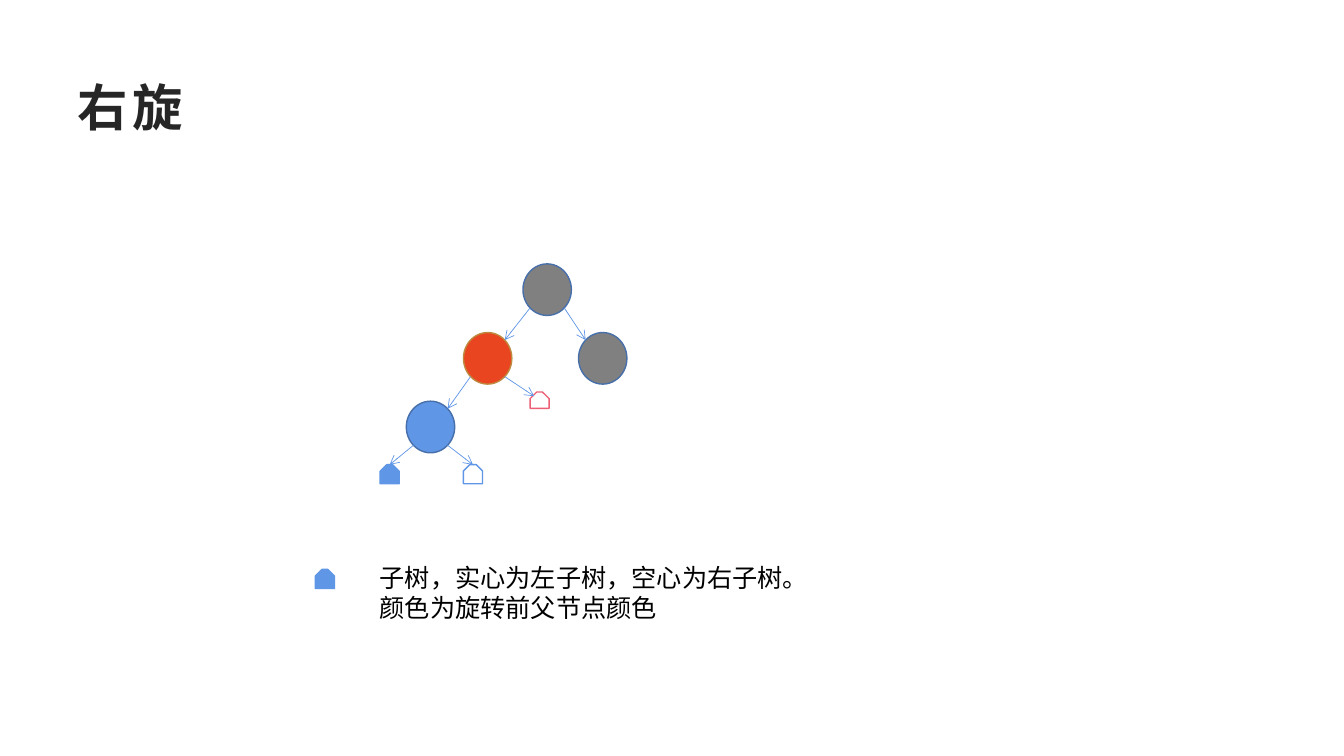
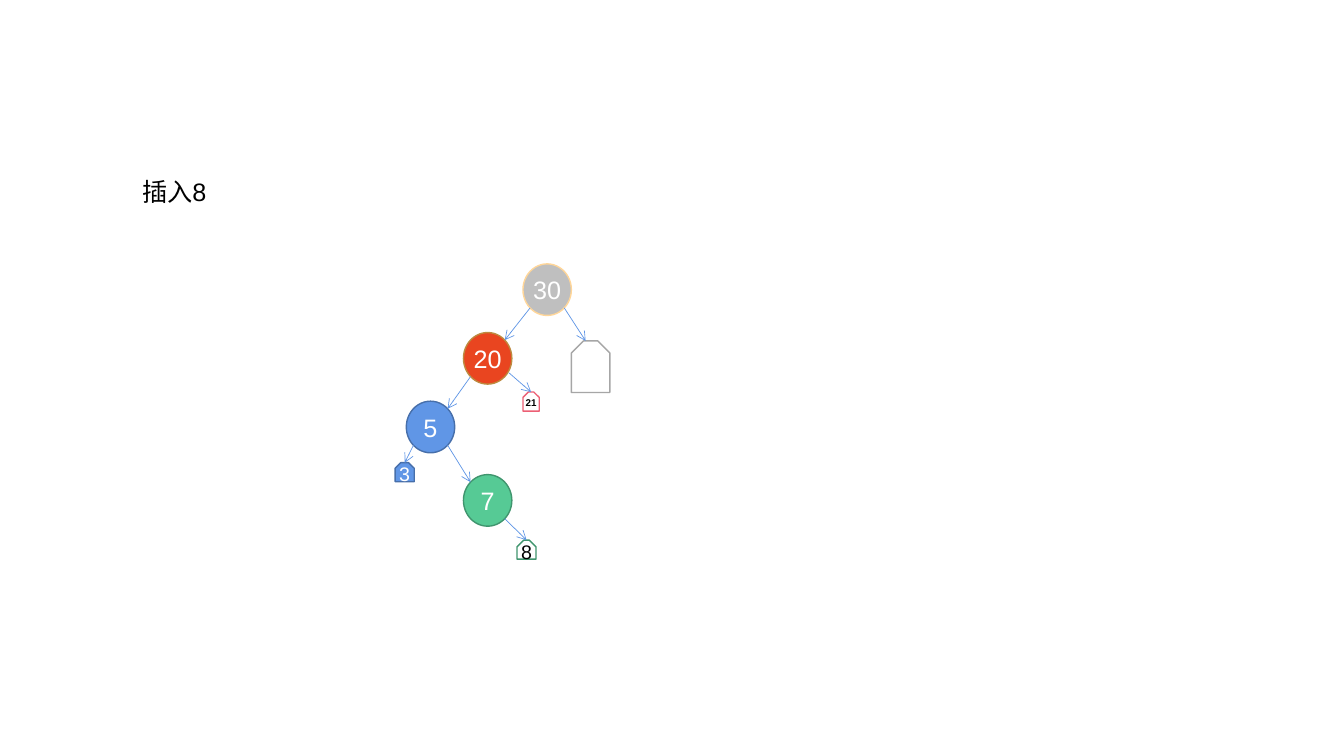
from lxml import etree
from pptx import Presentation
from pptx import util as u
from pptx.dml.color import RGBColor
from pptx.enum import shapes, text
from pptx.oxml.ns import qn

BLUE, NAVY, WHITE, BLACK = "6096E6", "476FAA", "FFFFFF", "000000"
RED, GOLD, PINK = "E94520", "BD8A3F", "EC5F74"
GREY, SILVER, SAND, ASH = "808080", "BFBFBF", "FFD699", "A6A6A6"
GREEN, PINE = "56CA95", "40956E"
FONT = "Arial"
NODE, LEAF = (1.22, 1.3), (0.48, 0.48)
ROOT, MID, LOW = (3.6, 0), (2.1, 1.73), (0.66, 3.46)
NEAR, FAR = 0.146, 0.854
TREE = (9.58, 6.65)


def color(code):
    """Turn a hex string into a colour."""
    return RGBColor.from_string(code)


def style(item, vals):
    """Set each named value on an item."""
    for name, val in vals.items():
        setattr(item, name, val)


def write(shape, words, size, ink, frame, align, bold=False):
    """Put one formatted line of text into a shape."""
    style(shape.text_frame, dict(frame, word_wrap=True))
    par = shape.text_frame.paragraphs[0]
    par.alignment = align
    run = par.add_run()
    run.text = words
    style(run.font, {"name": FONT, "size": u.Pt(size), "bold": bold})
    run.font.color.rgb = color(ink)
    return run


def head(slide, words, box):
    """Place the slide title in its box."""
    title = slide.shapes.title
    style(title, dict(zip(("left", "top", "width", "height"), map(u.Cm, box))))
    frame = {"vertical_anchor": text.MSO_ANCHOR.MIDDLE}
    run = write(title, words, 36, "262626", frame, text.PP_ALIGN.LEFT, True)
    run.font._element.set("spc", "300")


def note(slide, words, box):
    """Place a plain text block in its box."""
    area = slide.shapes.add_textbox(*map(u.Cm, box))
    frame = {"auto_size": text.MSO_AUTO_SIZE.SHAPE_TO_FIT_TEXT}
    write(area, words, 18, BLACK, frame, text.PP_ALIGN.LEFT)


def mark(slide, box, fill, edge, snip=None, label="", size=18, ink=WHITE, bold=False):
    """Draw a round node, or a subtree tag when a snip is given."""
    kinds = shapes.MSO_SHAPE
    kind = kinds.SNIP_2_SAME_RECTANGLE if snip else kinds.OVAL
    shape = slide.shapes.add_shape(kind, *map(u.Cm, box))
    if snip:
        shape.adjustments[0] = snip
        shape.adjustments[1] = 0
    shape.shadow.inherit = False
    shape.fill.solid()
    shape.fill.fore_color.rgb = color(fill)
    shape.line.color.rgb = color(edge)
    shape.line.width = u.Pt(1)
    if label:
        frame = {"margin_" + side: 0 for side in ("left", "top", "right", "bottom")}
        frame["vertical_anchor"] = text.MSO_ANCHOR.MIDDLE
        write(shape, label, size, ink, frame, text.PP_ALIGN.CENTER, bold)


def spot(box, part):
    """Find the point at a fraction of a box."""
    return [box[i] + box[i + 2] * part[i] for i in (0, 1)]


def link(slide, top, low, round_end, start=None, end=None):
    """Draw an arrow from a parent box to a child box."""
    left = low[0] < top[0]
    start = start or (NEAR if left else FAR, FAR)
    end = end or ((FAR if left else NEAR, NEAR) if round_end else (0.5, 0))
    ends = map(u.Cm, spot(top, start) + spot(low, end))
    line = slide.shapes.add_connector(shapes.MSO_CONNECTOR.STRAIGHT, *ends)
    line.line.color.rgb = color(BLUE)
    line.line.width = u.Pt(0.5)
    etree.SubElement(line.line._get_or_add_ln(), qn("a:tailEnd"), type="arrow")
    etree.SubElement(line._element.spPr, qn("a:effectLst"))


def tree(slide, at, nodes, links):
    """Draw nodes and their arrows relative to a corner."""
    boxes = {}
    for name, (pos, size, look) in nodes.items():
        boxes[name] = (at[0] + pos[0], at[1] + pos[1], *size)
        mark(slide, boxes[name], **look)
    for top, low, ends in links:
        link(slide, boxes[top], boxes[low], "snip" not in nodes[low][2], **ends)


def turn(deck):
    """Build the rotation slide."""
    slide = deck.slides.add_slide(deck.slide_layouts[5])
    head(slide, "右旋", (1.7, 1.7, 30.48, 1.96))
    full = dict(fill=BLUE, edge=BLUE, snip=0.344)
    dark = dict(fill=GREY, edge=NAVY)
    nodes = {
        "root": (ROOT, NODE, dark),
        "right": ((5, 1.73), NODE, dark),
        "mid": (MID, NODE, dict(fill=RED, edge=GOLD)),
        "low": (LOW, NODE, dict(fill=BLUE, edge=NAVY)),
        "side": ((3.78, 3.23), (0.48, 0.41), dict(fill=WHITE, edge=PINK, snip=0.407)),
        "full": ((0, 5.06), LEAF, full),
        "open": ((2.1, 5.06), LEAF, dict(fill=WHITE, edge=BLUE, snip=0.326)),
    }
    links = [
        ("root", "mid", {}), ("root", "right", {}), ("mid", "low", {}),
        ("mid", "side", {"end": (0.21, 0.25)}),
        ("low", "full", {}), ("low", "open", {}),
    ]
    tree(slide, TREE, nodes, links)
    mark(slide, (7.95, 14.35, *LEAF), **full)
    words = "子树，实心为左子树，空心为右子树。颜色为旋转前父节点颜色"
    note(slide, words, (9.32, 14.05, 11.71, 1.8))


def insert(deck):
    """Build the insertion slide."""
    slide = deck.slides.add_slide(deck.slide_layouts[6])
    nodes = {
        "root": (ROOT, NODE, dict(fill=SILVER, edge=SAND, label="30")),
        "mid": (MID, NODE, dict(fill=RED, edge=GOLD, label="20")),
        "low": (LOW, NODE, dict(fill=BLUE, edge=NAVY, label="5")),
        "new": ((2.1, 5.31), NODE, dict(fill=GREEN, edge=PINE, label="7")),
        "void": ((4.82, 1.94), (0.97, 1.3), dict(fill=WHITE, edge=ASH, snip=0.317)),
        "side": ((3.6, 3.23), (0.41, 0.48), dict(
            fill=WHITE, edge=PINK, snip=0.333, label="21", size=7, ink=BLACK, bold=True)),
        "full": ((0.38, 5.01), LEAF, dict(
            fill=BLUE, edge=NAVY, snip=0.293, label="3", size=14)),
        "open": ((3.45, 6.96), LEAF, dict(
            fill=WHITE, edge=PINE, snip=0.359, label="8", size=14, ink=BLACK)),
    }
    links = [
        ("root", "mid", {}), ("root", "void", {"end": (0.37, 0)}),
        ("mid", "low", {}), ("mid", "side", {"start": (0.94, 0.78)}),
        ("low", "full", {}), ("low", "new", {}), ("new", "open", {}),
    ]
    tree(slide, TREE, nodes, links)
    note(slide, "插入8", (3.33, 4.32, 2.9, 1.02))


deck = Presentation()
style(deck, {"slide_width": u.Cm(33.87), "slide_height": u.Cm(19.05)})
turn(deck)
insert(deck)
deck.save("out.pptx")
